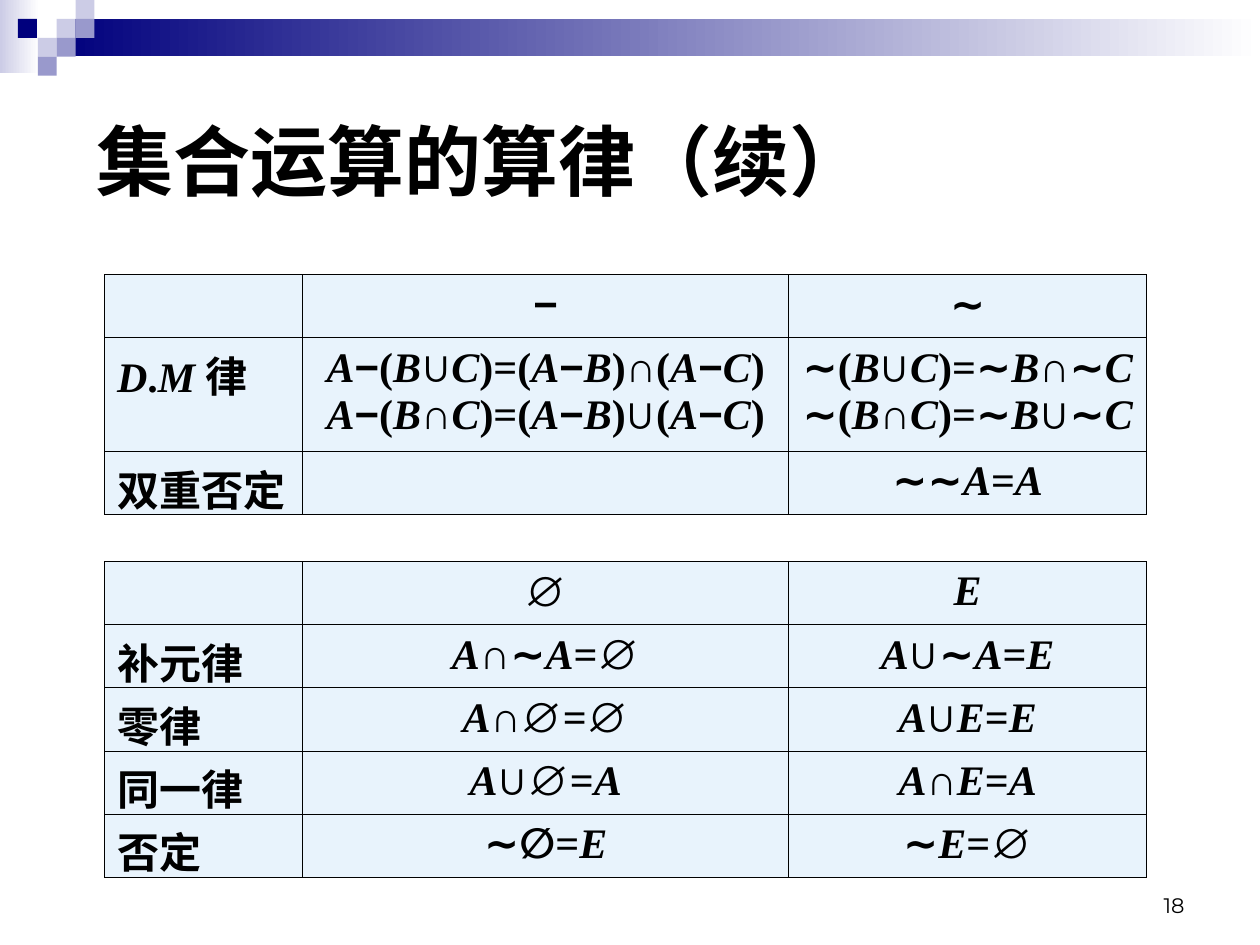
import itertools
import pptx
import pptx.dml.color
import pptx.enum.shapes
import pptx.enum.text
import pptx.oxml
import pptx.oxml.ns
import pptx.util

Pt = pptx.util.Pt
RGB = pptx.dml.color.RGBColor
Align = pptx.enum.text.PP_ALIGN
Anchor = pptx.enum.text.MSO_ANCHOR

BLACK = RGB(0, 0, 0)
WHITE = RGB(0xFF, 0xFF, 0xFF)
NAVY = RGB(0x00, 0x00, 0x7D)
LILAC = RGB(0xCC, 0xCC, 0xE6)
MAUVE = RGB(0x99, 0x99, 0xCC)
PALE = RGB(0xE8, 0xF3, 0xFC)

# Content
TITLE = "集合运算的算律（续）"
PAGE = "18"
TABLES = [
    (157, [36, 64.8, 36], [
        ["", "−", "∼"],
        ["D.M 律",
         "A−(B∪C)=(A−B)∩(A−C)\nA−(B∩C)=(A−B)∪(A−C)",
         "∼(B∪C)=∼B∩∼C\n∼(B∩C)=∼B∪∼C"],
        ["双重否定", "", "∼∼A=A"],
    ]),
    (321, [36] * 5, [
        ["", "∅", "E"],
        ["补元律", "A∩∼A=∅", "A∪∼A=E"],
        ["零律", "A∩∅=∅", "A∪E=E"],
        ["同一律", "A∪∅=A", "A∩E=A"],
        ["否定", "∼∅=E", "∼E=∅"],
    ]),
]
LEFT = 59.75
COLS = [113.2, 277.8, 204.5]
SIGNS = "∪∩∼−∅"

# Header bands (box, colour) and squares (column, row, colour)
BANDS = [((0, 0, 22.5, 42), LILAC), ((32.4, 10.8, 687.6, 21.4), NAVY)]
STEP = 10.8
TILES = [(3, 1, LILAC), (4, 0, LILAC), (4, 1, MAUVE), (2, 2, LILAC),
         (0.95, 1, NAVY), (3, 2, MAUVE), (2, 3, MAUVE)]


def kind(char):
    """Font and slant of one character of a formula."""
    if char in SIGNS:
        return "Arial", False
    return "Times New Roman", char.isascii() and char.isalpha()


def write(frame, text, size=24, font=None, bold=True, align=Align.LEFT, hang=0):
    """Fill a frame; without a font, the text is set as a formula."""
    for i, line in enumerate(text.split("\n")):
        para = frame.add_paragraph() if i else frame.paragraphs[0]
        para.alignment = align
        if hang:
            props = para._p.get_or_add_pPr()
            props.set("marL", str(Pt(hang)))
            props.set("indent", str(-Pt(hang)))
        parts = itertools.groupby(line, lambda c: (font, False) if font else kind(c))
        for (name, slant), chars in parts:
            run = para.add_run()
            run.text = "".join(chars)
            run.font.name, run.font.size = name, Pt(size)
            run.font.bold, run.font.italic = bold, slant
            run.font.color.rgb = BLACK


def label(slide, box, text, anchor, **style):
    frame = slide.shapes.add_textbox(*map(Pt, box)).text_frame
    frame.word_wrap = True
    frame.vertical_anchor = anchor
    write(frame, text, **style)


def block(slide, box, tint, fade=False):
    shape = slide.shapes.add_shape(
        pptx.enum.shapes.MSO_SHAPE.RECTANGLE, *map(Pt, box))
    shape.shadow.inherit = False
    shape.line.fill.background()
    if fade:
        shape.fill.gradient()
        shape.fill.gradient_angle = 0
        for stop, shade in zip(shape.fill.gradient_stops, (tint, WHITE)):
            stop.color.rgb = shade
    else:
        shape.fill.solid()
        shape.fill.fore_color.rgb = tint


def frame_cell(cell):
    """Pale fill with thin black borders on all sides."""
    cell.fill.solid()
    cell.fill.fore_color.rgb = PALE
    props = cell._tc.get_or_add_tcPr()
    for i, side in enumerate(("lnL", "lnR", "lnT", "lnB")):
        props.insert(i, pptx.oxml.parse_xml(
            f'<a:{side} {pptx.oxml.ns.nsdecls("a")} w="{Pt(0.45)}">'
            f'<a:solidFill><a:srgbClr val="{BLACK}"/></a:solidFill></a:{side}>'))


def grid(slide, top, highs, rows):
    table = slide.shapes.add_table(
        len(rows), len(COLS), Pt(LEFT), Pt(top),
        Pt(sum(COLS)), Pt(sum(highs))).table
    table.first_row = table.horz_banding = False
    for col, wide in zip(table.columns, COLS):
        col.width = Pt(wide)
    for r, (high, row) in enumerate(zip(highs, rows)):
        table.rows[r].height = Pt(high)
        for c, text in enumerate(row):
            cell = table.cell(r, c)
            frame_cell(cell)
            if text:
                write(cell.text_frame, text, hang=27,
                      align=Align.CENTER if c else Align.LEFT)


def main():
    deck = pptx.Presentation()
    deck.slide_width, deck.slide_height = Pt(720), Pt(540)
    slide = deck.slides.add_slide(deck.slide_layouts[6])

    # Header ornament
    for box, tint in BANDS:
        block(slide, box, tint, fade=True)
    for col, row, tint in TILES:
        block(slide, (col * STEP, row * STEP, STEP, STEP), tint)

    # Title, tables and page number
    label(slide, (48, 37.5, 648, 108), TITLE, Anchor.MIDDLE, size=44, font="Arial")
    for top, highs, rows in TABLES:
        grid(slide, top, highs, rows)
    label(slide, (516, 492, 168, 36), PAGE, Anchor.BOTTOM, size=12,
          font="Montserrat", bold=False, align=Align.RIGHT)
    deck.save("out.pptx")


if __name__ == "__main__":
    main()
